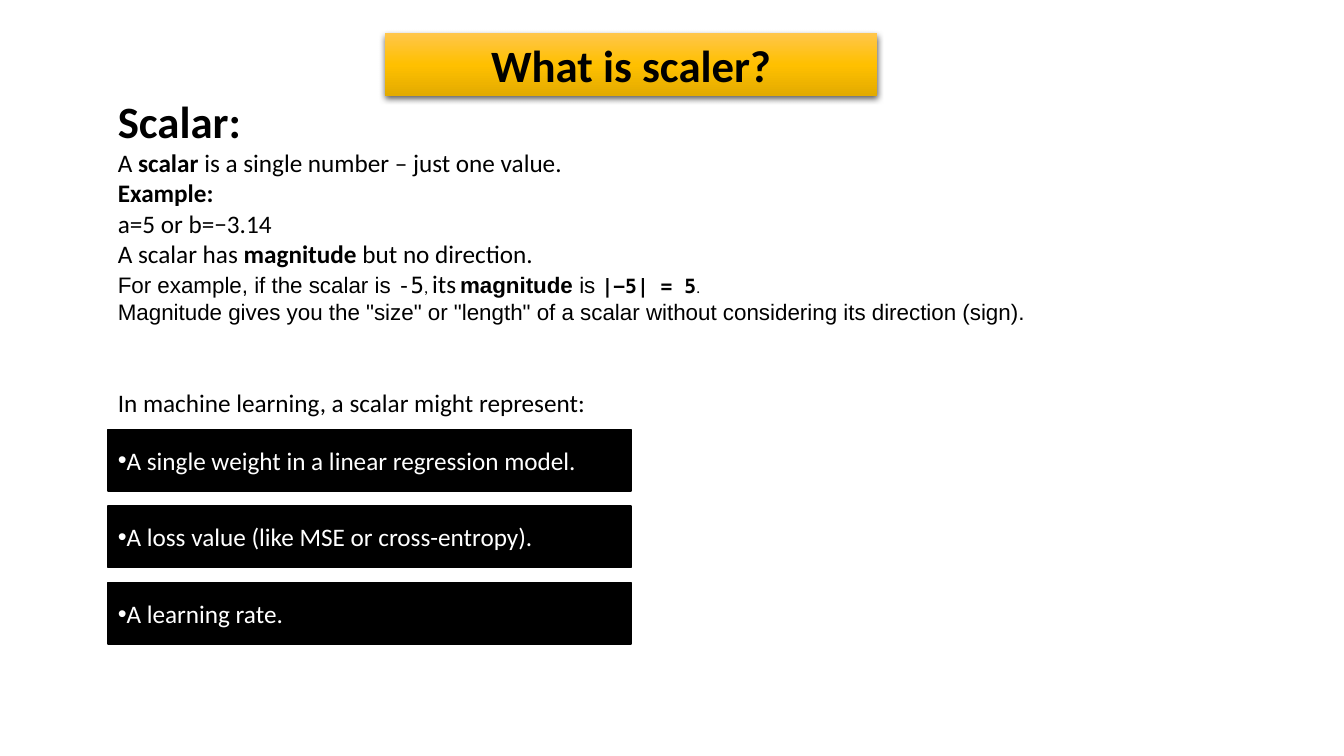
from lxml import etree
from pptx import Presentation
from pptx.dml.color import RGBColor
from pptx.enum.shapes import MSO_SHAPE
from pptx.enum.text import MSO_ANCHOR, MSO_AUTO_SIZE, PP_ALIGN
from pptx.oxml import parse_xml
from pptx.oxml.ns import nsdecls, qn
from pptx.util import Inches, Pt

RECTANGLE = MSO_SHAPE.RECTANGLE
MIDDLE = MSO_ANCHOR.MIDDLE
LEFT, CENTER = PP_ALIGN.LEFT, PP_ALIGN.CENTER
NO_FIT, GROW = MSO_AUTO_SIZE.NONE, MSO_AUTO_SIZE.SHAPE_TO_FIT_TEXT

COLORS = {
    "ink": "000000",
    "paper": "FFFFFF",
    "gold_top": "FFC64B",
    "gold": "FFC000",
    "gold_bottom": "E3AB00",
}
SANS, ARIAL, MONO = "Calibri", "Arial", "DejaVu Sans Mono"

# Each paragraph is a list of runs: text, size, font, bold
EXPLANATION = [
    [("Scalar:", 32, SANS, True)],
    [("A ", 18, SANS, False), ("scalar", 18, SANS, True),
     (" is a single number – just one value.", 18, SANS, False)],
    [("Example:", 18, SANS, True)],
    [("a=5 or b=−3.14", 18, SANS, False)],
    [("A scalar has ", 18, SANS, False), ("magnitude", 18, SANS, True),
     (" but no direction.", 18, SANS, False)],
    [("For example, if the scalar is ", 16, ARIAL, False),
     ("-5", 16, MONO, False), (", ", 12, SANS, False),
     ("its", 18, SANS, False), (" ", 12, SANS, False),
     ("magnitude", 16, ARIAL, True), (" is ", 16, ARIAL, False),
     ("|−5| = 5", 14, MONO, True), (".", 11, SANS, False)],
    [('Magnitude gives you the "size" or "length" of a scalar without '
      "considering its direction (sign).", 16, ARIAL, False)],
    [("In machine learning, a scalar might represent:", 18, SANS, False)],
]
USES = [
    "A single weight in a linear regression model.",
    "A loss value (like MSE or cross-entropy).",
    "A learning rate.",
]


def add_run(paragraph, text, size, font, bold, color="ink"):
    run = paragraph.add_run()
    run.text = text
    run.font.size = Pt(size)
    run.font.name = font
    run.font.bold = bold
    run.font.color.rgb = RGBColor.from_string(COLORS[color])


def place_title(slide, left, top, width, height):
    """Gold rounded banner made from the title placeholder."""
    title = slide.shapes.title
    title.left, title.top = Inches(left), Inches(top)
    title.width, title.height = Inches(width), Inches(height)

    # Rounded outline, vertical gradient and soft shadow
    stops = "".join(
        f'<a:gs pos="{position}"><a:srgbClr val="{COLORS[name]}"/></a:gs>'
        for position, name in
        [(0, "gold_top"), (50000, "gold"), (100000, "gold_bottom")])
    ns = nsdecls("a")
    for xml in (
        f'<a:prstGeom {ns} prst="roundRect"><a:avLst/></a:prstGeom>',
        f'<a:gradFill {ns} rotWithShape="1"><a:gsLst>{stops}</a:gsLst>'
        '<a:lin ang="5400000" scaled="0"/></a:gradFill>',
        f'<a:effectLst {ns}><a:outerShdw blurRad="{Pt(4.5)}" '
        f'dist="{Pt(1.5)}" dir="5400000" algn="ctr" rotWithShape="0">'
        f'<a:srgbClr val="{COLORS["ink"]}"><a:alpha val="63000"/></a:srgbClr>'
        '</a:outerShdw></a:effectLst>',
    ):
        title.element.spPr.append(parse_xml(xml))

    frame = title.text_frame
    frame.auto_size = NO_FIT
    frame.vertical_anchor = MIDDLE
    frame.paragraphs[0].alignment = CENTER
    add_run(frame.paragraphs[0], "What is scaler?", 32, SANS, True)


def add_explanation(slide, left, top, width, height):
    """Definition, example and lead-in to the list of uses."""
    box = slide.shapes.add_textbox(
        Inches(left), Inches(top), Inches(width), Inches(height))
    frame = box.text_frame
    frame.word_wrap = True
    frame.auto_size = GROW
    for index, runs in enumerate(EXPLANATION):
        paragraph = frame.add_paragraph() if index else frame.paragraphs[0]
        for run in runs:
            add_run(paragraph, *run)
    paragraph.space_before = Pt(44)


def add_uses(slide, left, top, width, bar_height, pitch):
    """Stack of black bars, one bulleted use in each."""
    for index, use in enumerate(USES):
        bar = slide.shapes.add_shape(
            RECTANGLE, Inches(left), Inches(top + index * pitch),
            Inches(width), Inches(bar_height))
        bar.shadow.inherit = False
        bar.fill.solid()
        bar.fill.fore_color.rgb = RGBColor.from_string(COLORS["ink"])
        bar.line.color.rgb = RGBColor.from_string(COLORS["ink"])
        bar.line.width = Pt(1)
        frame = bar.text_frame
        frame.word_wrap = True
        frame.vertical_anchor = MIDDLE
        paragraph = frame.paragraphs[0]
        paragraph.alignment = LEFT
        properties = paragraph._p.get_or_add_pPr()
        etree.SubElement(properties, qn("a:buFont"), typeface=ARIAL)
        etree.SubElement(properties, qn("a:buChar"), char="•")
        add_run(paragraph, use, 18, SANS, False, "paper")


def main():
    deck = Presentation()
    deck.slide_width, deck.slide_height = Inches(13.33), Inches(7.5)
    slide = deck.slides.add_slide(deck.slide_layouts.get_by_name("Title Only"))
    place_title(slide, 3.82, 0.33, 4.88, 0.62)
    add_explanation(slide, 1.07, 0.88, 14.19, 4.27)
    add_uses(slide, 1.07, 4.26, 5.19, 0.61, pitch=0.76)
    deck.save("out.pptx")


if __name__ == "__main__":
    main()
